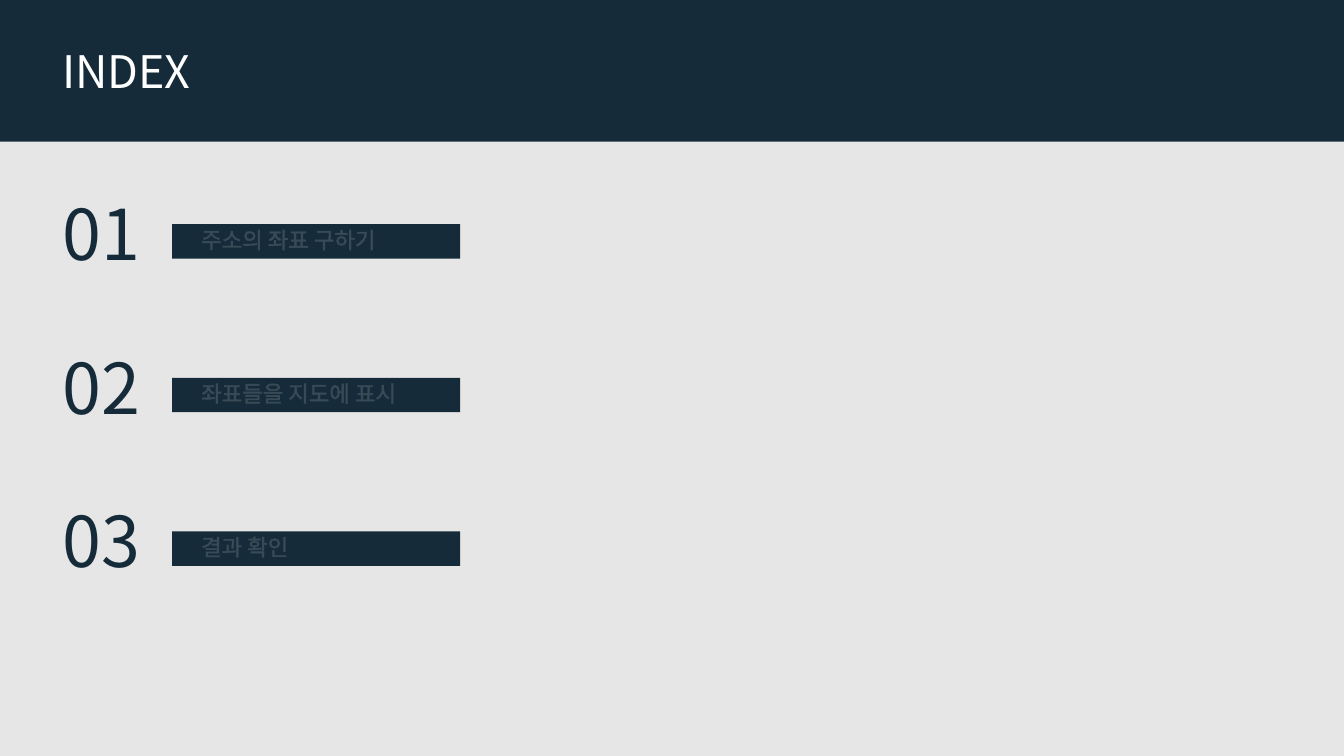
from lxml.etree import SubElement
from pptx import Presentation
from pptx.dml.color import RGBColor
from pptx.enum.shapes import MSO_SHAPE
from pptx.enum.text import MSO_AUTO_SIZE
from pptx.oxml import parse_xml
from pptx.oxml.ns import qn
from pptx.util import Cm, Pt

NAVY = RGBColor(0x15, 0x2B, 0x39)
GREY = RGBColor(0xE7, 0xE6, 0xE6)
WHITE = RGBColor(0xFF, 0xFF, 0xFF)
FONT = "Noto Sans CJK KR"
EDGE = (
    '<a:ln xmlns:a="http://schemas.openxmlformats.org/drawingml/2006/main" w="9525">'
    f'<a:solidFill><a:srgbClr val="{WHITE}"><a:alpha val="15000"/></a:srgbClr>'
    '</a:solidFill></a:ln>'
)
ITEMS = ["주소의 좌표 구하기", "좌표들을 지도에 표시", "결과 확인"]
WIDTHS = [5.64, 6.05, 3.0]


def add_bar(slide, box, color):
    """Draw a plain filled rectangle."""
    bar = slide.shapes.add_shape(MSO_SHAPE.RECTANGLE, *map(Cm, box))
    bar.shadow.inherit = False
    bar.fill.solid()
    bar.fill.fore_color.rgb = color
    bar.line.fill.background()


def add_text(slide, box, text, size, color):
    """Write one unwrapped line and return its paragraph."""
    frame = slide.shapes.add_textbox(*map(Cm, box)).text_frame
    frame.word_wrap = False
    frame.auto_size = MSO_AUTO_SIZE.SHAPE_TO_FIT_TEXT
    line = frame.paragraphs[0]
    line.text = text
    font = line.font
    font.name, font.size = FONT, Pt(size)
    font.color.rgb = color
    SubElement(line.runs[0].font._element, qn("a:ea")).set("typeface", FONT)
    return line


def add_head(slide, left, top):
    """Place the title in the dark band."""
    add_text(slide, (left, top, 3.86, 1.62), "INDEX", 32, WHITE)


def add_item(slide, left, top, number, label, width):
    """Place one index entry: number, bar and outlined label."""
    add_text(slide, (left, top, 2.51, 2.39), f"{number:02}", 50, NAVY)
    add_bar(slide, (left + 3.02, top + 0.97, 7.26, 0.87), NAVY)
    line = add_text(slide, (left + 3.5, top + 0.89, width, 0.94), label, 16, WHITE)
    line.runs[0].font._element.insert(0, parse_xml(EDGE))


def main():
    """Build and save the index slide."""
    deck = Presentation()
    deck.slide_width, deck.slide_height = Cm(33.87), Cm(19.05)
    slide = deck.slides.add_slide(deck.slide_layouts[6])
    slide.background.fill.solid()
    slide.background.fill.fore_color.rgb = NAVY
    add_bar(slide, (0, 3.57, 33.87, 15.48), GREY)
    add_head(slide, 1.32, 0.97)
    for i, (label, width) in enumerate(zip(ITEMS, WIDTHS)):
        add_item(slide, 1.32, 4.68 + 3.87 * i, i + 1, label, width)
    deck.save("out.pptx")


if __name__ == "__main__":
    main()
